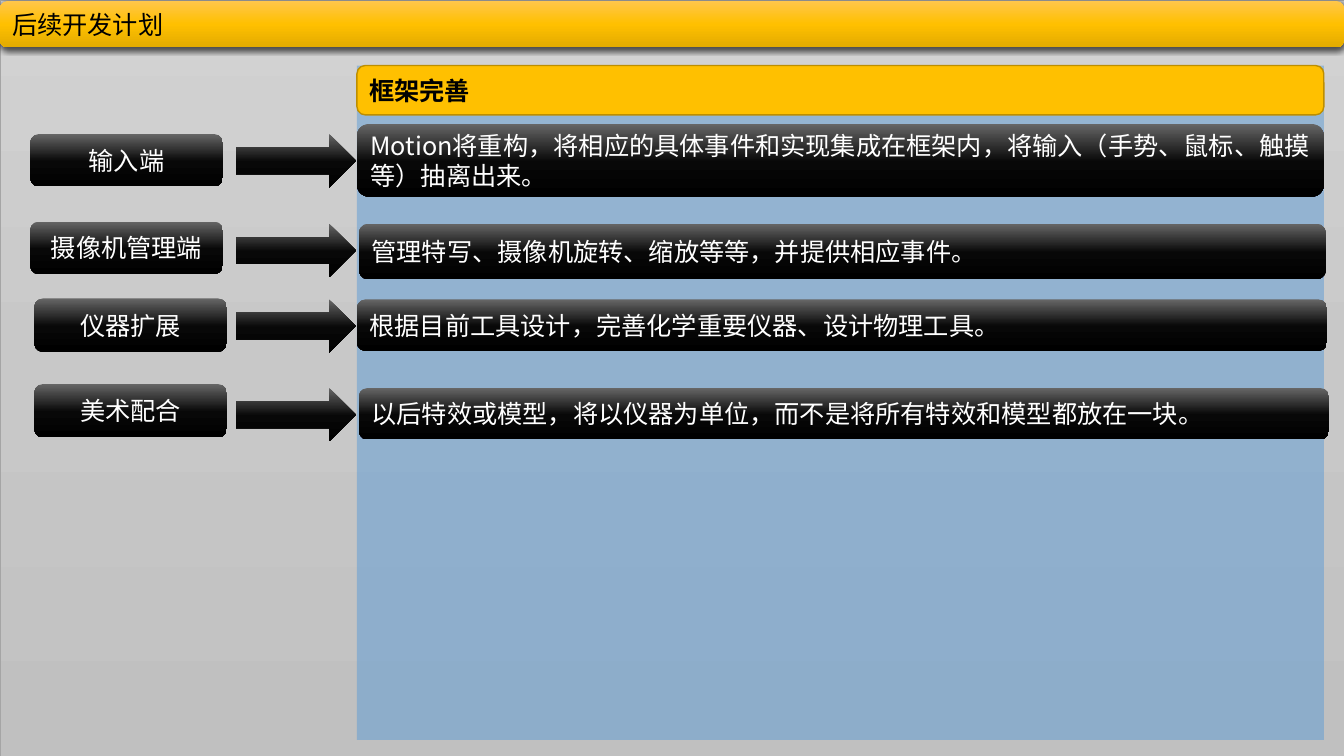
from lxml.etree import SubElement as Sub
from pptx import Presentation
from pptx.dml.color import RGBColor as Rgb
from pptx.enum.shapes import MSO_SHAPE as Shape
from pptx.enum.text import MSO_ANCHOR as Anchor, PP_ALIGN as Align
from pptx.oxml.ns import qn
from pptx.util import Inches, Pt

INK = {
    "black": "000000", "white": "FFFFFF", "gold": "FFC000", "edge": "BD8E00",
    "blue": "5B9BD5", "frame": "A5A5A5",
}
FADE = {
    "grey": [(0, "D2D2D2"), (50, "C8C8C8"), (100, "C0C0C0")],
    "amber": [(0, "FFC64B"), (50, "FFC000"), (100, "E3AB00")],
    "night": [(0, "666666"), (52, "080808"), (100, "000000")],
}
ROWS = [
    ("输入端", (2.25, 17.73, 14.33, 6.93), 17.73,
     "Motion将重构，将相应的具体事件和实现集成在框架内，将输入（手势、鼠标、触摸等）抽离出来。",
     (26.56, 16.4, 71.94, 9.6)),
    ("摄像机管理端", (2.25, 29.33, 14.33, 6.93), 29.6,
     "管理特写、摄像机旋转、缩放等等，并提供相应事件。",
     (26.71, 29.6, 71.94, 7.33)),
    ("仪器扩展", (2.55, 39.47, 14.33, 7.07), 39.6,
     "根据目前工具设计，完善化学重要仪器、设计物理工具。",
     (26.56, 39.6, 72.17, 6.8)),
    ("美术配合", (2.55, 50.8, 14.33, 7.07), 51.33,
     "以后特效或模型，将以仪器为单位，而不是将所有特效和模型都放在一块。",
     (26.71, 51.33, 72.17, 6.8)),
]


def write(shape, text, size=18, color="white", bold=False, align=Align.LEFT, font="Noto Sans CJK SC"):
    """Put formatted text in a shape."""
    frame = shape.text_frame
    frame.word_wrap = True
    frame.vertical_anchor = Anchor.MIDDLE
    para = frame.paragraphs[0]
    para.alignment = align
    run = para.add_run()
    run.text = text
    run.font.size = Pt(size)
    run.font.bold = bold
    run.font.name = font
    run.font.color.rgb = Rgb.from_string(INK[color])
    Sub(run.font._element, qn("a:ea"), typeface=font)


class Page:
    """Hold the style and the slide; lengths are percent of its size."""

    def __init__(self, deck):
        """Add a blank slide to the deck."""
        self.col = deck.slide_width / 100
        self.row = deck.slide_height / 100
        self.slide = deck.slides.add_slide(deck.slide_layouts[6])

    def block(self, kind, box, fill, line=None, width=1):
        """Draw a shape with a plain or graded fill."""
        units = (self.col, self.row) * 2
        shape = self.slide.shapes.add_shape(kind, *(round(n * u) for n, u in zip(box, units)))
        shape.shadow.inherit = False
        if fill in FADE:
            self.fade(shape, FADE[fill])
        else:
            shape.fill.solid()
            shape.fill.fore_color.rgb = Rgb.from_string(INK[fill])
        if line:
            shape.line.color.rgb = Rgb.from_string(INK[line])
            shape.line.width = Pt(width)
        else:
            shape.line.fill.background()
        return shape

    def fade(self, shape, stops):
        """Fill a shape from top to bottom with colour stops."""
        shape.fill.gradient()
        shape.fill.gradient_angle = 270
        list_ = next(shape._element.spPr.iter(qn("a:gsLst")))
        list_.clear()
        for pos, color in stops:
            stop = Sub(list_, qn("a:gs"), pos=str(pos * 1000))
            Sub(stop, qn("a:srgbClr"), val=color)

    def panel(self, box, fill, alpha):
        """Draw a see-through rectangle."""
        shape = self.block(Shape.RECTANGLE, box, fill)
        color = next(shape._element.spPr.iter(qn("a:srgbClr")))
        Sub(color, qn("a:alpha"), val=str(alpha * 1000))

    def label(self, box, text, fill="night", line=None, **style):
        """Draw a rounded box with text."""
        shape = self.block(Shape.ROUNDED_RECTANGLE, box, fill, line)
        write(shape, text, **style)
        return shape

    def title(self, box, text):
        """Draw the top bar with its shadow."""
        shape = self.label(box, text, "amber", color="black")
        effects = shape._element.spPr.find(qn("a:effectLst"))
        shade = Sub(effects, qn("a:outerShdw"), blurRad=str(Pt(4.5)),
                    dist=str(Pt(1.5)), dir="5400000", algn="ctr", rotWithShape="0")
        color = Sub(shade, qn("a:srgbClr"), val=INK["black"])
        Sub(color, qn("a:alpha"), val="63000")

    def arrow(self, top):
        """Draw the arrow that joins a topic to its plan."""
        self.block(Shape.RIGHT_ARROW, (17.55, top, 8.93, 7.07), "night")


def main():
    """Build and save the slide."""
    deck = Presentation()
    deck.slide_width, deck.slide_height = Inches(13.33), Inches(7.5)
    page = Page(deck)
    page.block(Shape.RECTANGLE, (0, 0, 100, 100), "grey", "frame", 0.5)
    page.title((0, 0.13, 100, 6.13), "后续开发计划")
    page.panel((26.56, 8.67, 71.94, 89.2), "blue", 50)
    page.label((26.56, 8.67, 71.94, 6.53), "框架完善", "gold", "edge", color="black", bold=True)
    for topic, left, top, plan, right in ROWS:
        page.label(left, topic, align=Align.CENTER)
        page.label(right, plan)
        page.arrow(top)
    deck.save("out.pptx")


if __name__ == "__main__":
    main()
